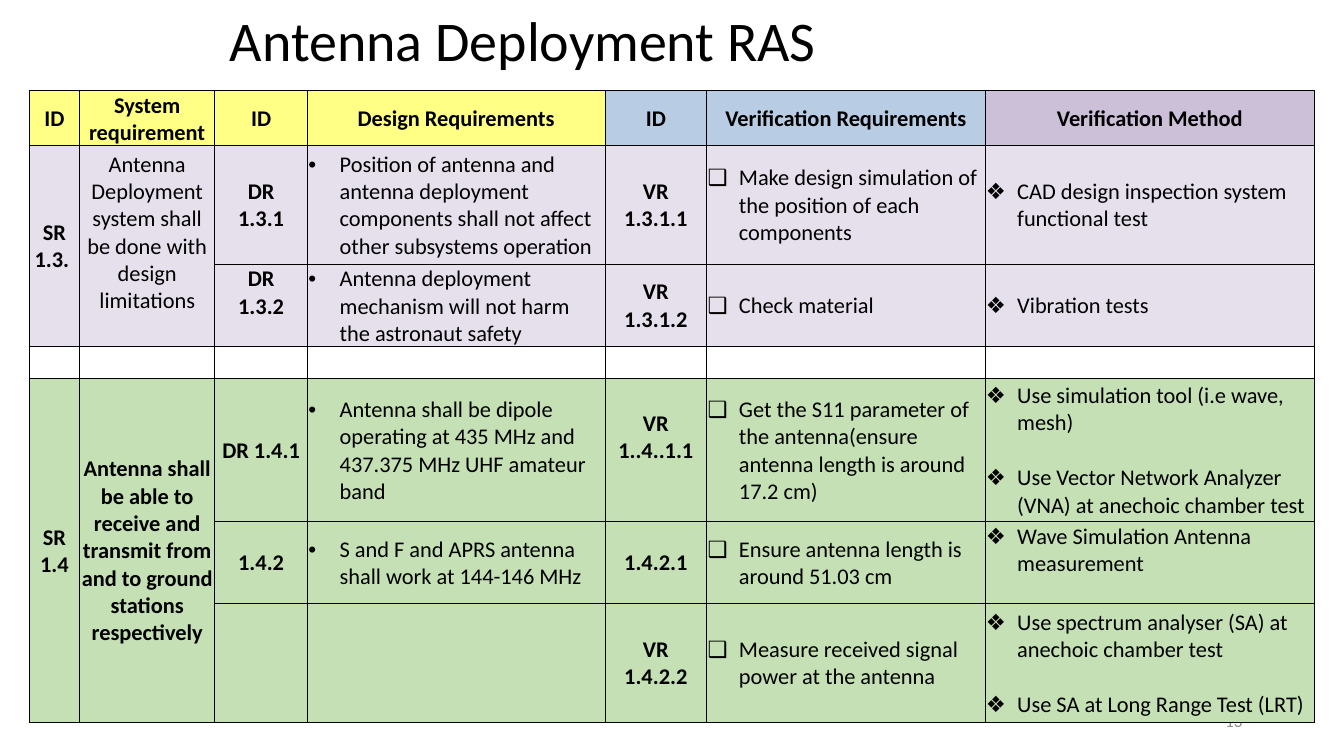
from lxml import etree
from pptx import Presentation
from pptx import util as u
from pptx.dml.color import RGBColor
from pptx.enum import text
from pptx.oxml import ns

Inches, Pt = u.Inches, u.Pt
FONT = "Calibri"
HEX = {
    "ink": "000000", "gray": "8C8C8C", "yellow": "FFFF85", "blue": "B8CCE4",
    "purple": "CCC0D9", "lilac": "E6E0EC", "white": "FFFFFF", "green": "C5E0B4",
}
COLS = [0.5, 1.34, 0.92, 2.95, 1.01, 2.76, 3.27]
ROWS = [0.54, 1.18, 0.81, 0.32, 1.42, 0.81, 1.18]
HEAD = ["yellow"] * 4 + ["blue"] * 2 + ["purple"]
FILLS = [HEAD] + [[c] * 7 for c in
                  ["lilac", "lilac", "white", "green", "green", "green"]]
MARKS = {3: "•", 5: "❑", 6: "❖"}  # bullet of each list column
MERGES = [(1, 2), (4, 6)]  # first and last row of each requirement
PLAIN = {(1, 1)}  # centred cells that are not bold
RAISED = {(1, 1), (2, 2), (4, 4), (5, 6)}  # text sits above the middle

# Each line of a cell is one paragraph
CELLS = [
    ["ID", "System requirement", "ID", "Design Requirements", "ID",
     "Verification Requirements", "Verification Method"],
    ["SR 1.3. ", "Antenna Deployment system shall be done with design limitations",
     "DR\n1.3.1",
     "Position of antenna and antenna deployment components shall not affect "
     "other subsystems operation",
     "VR\n1.3.1.1", "Make design simulation of the position of each components",
     "CAD design inspection system functional test"],
    ["", "", "DR\n1.3.2",
     "Antenna deployment mechanism will not harm the astronaut safety",
     "VR\n1.3.1.2", "Check material", "Vibration tests"],
    [""] * 7,
    ["SR 1.4",
     "Antenna shall be able to receive and transmit from and to ground "
     "stations respectively",
     "DR 1.4.1",
     "Antenna shall be dipole operating at 435 MHz and 437.375 MHz UHF amateur band",
     "VR\n1..4..1.1",
     "Get the S11 parameter of the antenna(ensure antenna length is around 17.2 cm)",
     "Use simulation tool (i.e wave, mesh)\n"
     "Use Vector Network Analyzer (VNA) at anechoic chamber test"],
    ["", "", "1.4.2", "S and F and APRS antenna shall work at 144-146 MHz",
     "1.4.2.1", "Ensure antenna length is around 51.03 cm",
     "Wave Simulation Antenna measurement"],
    ["", "", "", "", "VR\n1.4.2.2", "Measure received signal power at the antenna",
     "Use spectrum analyser (SA) at anechoic chamber test\n"
     "Use SA at Long Range Test (LRT)"],
]


def color(name):
    return RGBColor.from_string(HEX[name])


def add(parent, tag, **attrs):
    return etree.SubElement(parent, ns.qn(tag), attrs)


def add_run(para, words, size, ink="ink", bold=False):
    run = para.add_run()
    run.text = words
    font = run.font
    font.name, font.size, font.bold = FONT, Pt(size), bold
    font.color.rgb = color(ink)


def add_title(slide, words):
    title = slide.shapes.title
    title.left, title.top = Inches(2.18), Inches(0)
    title.width, title.height = Inches(6.07), Inches(0.77)
    frame = title.text_frame
    frame.word_wrap = False
    frame.auto_size = text.MSO_AUTO_SIZE.NONE
    frame.vertical_anchor = text.MSO_ANCHOR.TOP
    para = frame.paragraphs[0]
    para.alignment = text.PP_ALIGN.LEFT
    add_run(para, words, 40)


def add_number(slide, words):
    box = slide.shapes.add_textbox(Inches(9.42), Inches(6.95), Inches(3), Inches(0.4))
    frame = box.text_frame
    frame.word_wrap = True
    frame.vertical_anchor = text.MSO_ANCHOR.MIDDLE
    para = frame.paragraphs[0]
    para.alignment = text.PP_ALIGN.RIGHT
    add_run(para, words, 12, "gray")


def add_mark(para, mark):
    props = para._p.get_or_add_pPr()
    props.set("marL", str(Inches(0.31)))
    props.set("indent", str(Inches(-0.31)))
    add(props, "a:buFont", typeface="Arial")
    add(props, "a:buChar", char=mark)


def add_edges(cell):
    props = cell._tc.get_or_add_tcPr()
    for spot, side in enumerate(["L", "R", "T", "B"]):
        line = etree.Element(ns.qn("a:ln" + side), w=str(Pt(0.5)))
        fill = add(line, "a:solidFill")
        add(fill, "a:srgbClr", val=HEX["ink"])
        props.insert(spot, line)


def fill_cell(cell, words, tint, mark, bold, raised):
    cell.fill.solid()
    cell.fill.fore_color.rgb = color(tint)
    add_edges(cell)
    cell.margin_left = cell.margin_right = cell.margin_top = Inches(0.01)
    cell.margin_bottom = Inches(0.27 if raised else 0)
    cell.vertical_anchor = text.MSO_ANCHOR.MIDDLE
    frame = cell.text_frame
    if not words:
        add(frame.paragraphs[0]._p, "a:endParaRPr", sz="1600")
        return
    for i, line in enumerate(words.split("\n")):
        para = frame.add_paragraph() if i else frame.paragraphs[0]
        if mark:
            if i:
                para.space_before = Pt(19.5)
            add_mark(para, mark)
        else:
            para.alignment = text.PP_ALIGN.CENTER
        add_run(para, line, 16, bold=bold)


def add_grid(slide):
    frame = slide.shapes.add_table(
        len(ROWS), len(COLS), Inches(0.29), Inches(0.9),
        Inches(sum(COLS)), Inches(sum(ROWS)))
    table = frame.table
    table.first_row = table.horz_banding = False
    for col, width in zip(table.columns, COLS):
        col.width = Inches(width)
    for row, height in zip(table.rows, ROWS):
        row.height = Inches(height)
    for r, line in enumerate(CELLS):
        for c, words in enumerate(line):
            mark = MARKS.get(c) if r else None
            bold = not mark and (r, c) not in PLAIN
            fill_cell(table.cell(r, c), words, FILLS[r][c], mark, bold,
                      (r, c) in RAISED)
    # Requirement cells span their group of rows
    for first, last in MERGES:
        for c in range(2):
            table.cell(first, c).merge(table.cell(last, c))


def main():
    deck = Presentation()
    deck.slide_width, deck.slide_height = Inches(13.33), Inches(7.5)
    slide = deck.slides.add_slide(deck.slide_layouts[5])
    add_title(slide, "Antenna Deployment RAS")
    add_number(slide, "13")
    add_grid(slide)
    deck.save("out.pptx")


if __name__ == "__main__":
    main()
